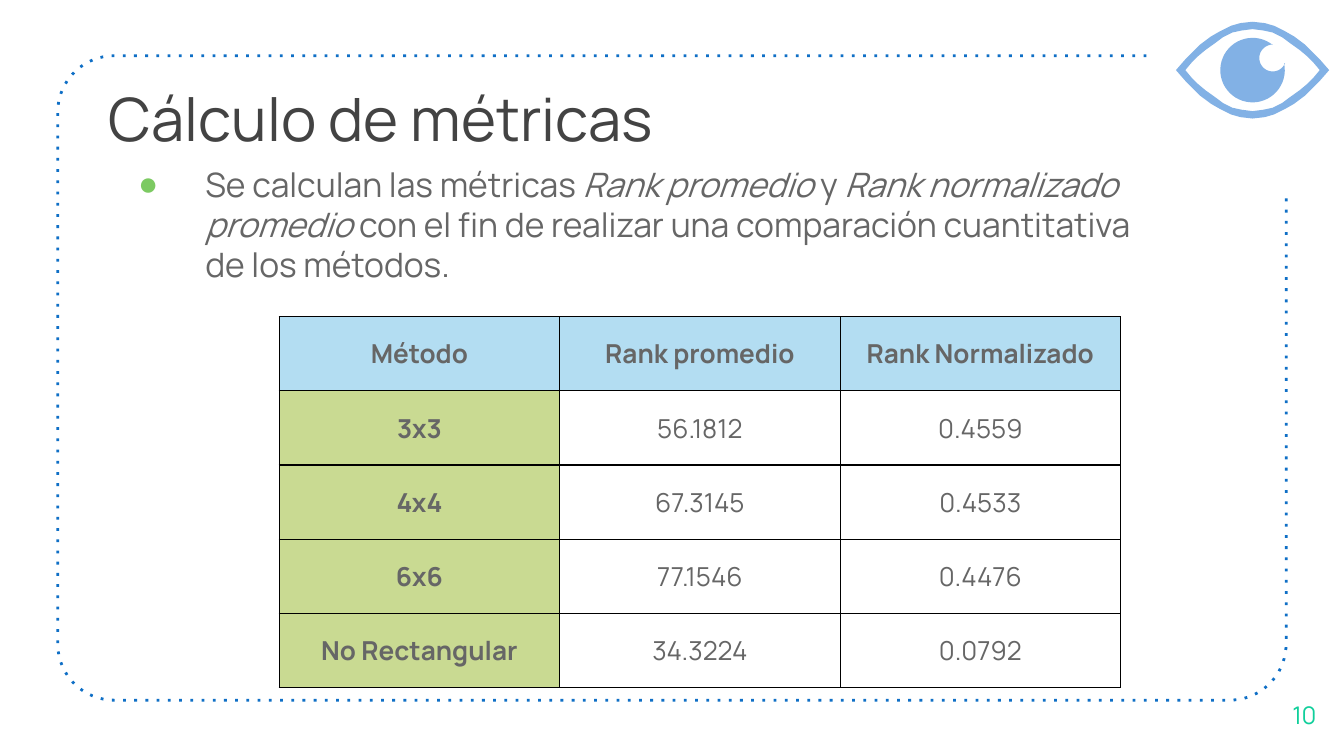
from dataclasses import dataclass
from math import cos, radians, sin

from lxml.etree import SubElement
from pptx import Presentation
from pptx.dml.color import RGBColor as RGB
from pptx.enum.text import MSO_ANCHOR as ANCHOR, MSO_AUTO_SIZE as AUTO, PP_ALIGN as ALIGN
from pptx.oxml.ns import qn
from pptx.util import Emu, Inches, Pt


@dataclass(frozen=True)
class Theme:
    font: str = "Manrope"
    bullet_font: str = "Arial"
    title: str = "434343"
    text: str = "666666"
    number: str = "10CF9B"
    bullet: str = "7CCA62"
    frame: str = "0F6FC6"
    icon: str = "82B1E5"
    border: str = "000000"
    header: str = "B3DDF2"
    method: str = "C9DA92"
    title_size: int = 32
    body_size: int = 18
    table_size: int = 14
    number_size: int = 13


WIDTH = Inches(10)
HEIGHT = Emu(WIDTH * 9 // 16)
COLUMNS = 100  # square grid cells, a hundredth of the slide's width


def grid(n):
    return Emu(round(n * WIDTH / COLUMNS))


def arc(cx, cy, radius, start, end, steps=24):
    """Points on a circle, angles in degrees, clockwise from the right."""
    angles = [radians(start + (end - start) * i / steps) for i in range(steps + 1)]
    return [(cx + radius * cos(a), cy + radius * sin(a)) for a in angles]


def lens(cx, cy, quarter):
    """Mirror a quarter outline, given from top to right corner, into a lens."""
    half = quarter + [(x, -y) for x, y in quarter[-2::-1]]
    offsets = half + [(-x, y) for x, y in half[-2:0:-1]]
    return [(cx + x, cy - y) for x, y in offsets]


def add_text(p, text, size, color, font, bold=False, italic=False):
    r = p.add_run()
    r.text = text
    r.font.name, r.font.size = font, Pt(size)
    r.font.color.rgb = RGB.from_string(color)
    r.font.bold, r.font.italic = bold, italic


class SlideBuilder:
    def __init__(self, prs, theme):
        self.theme = theme
        self.slide = prs.slides.add_slide(prs.slide_layouts[1])
        self.shapes = self.slide.shapes

    def place(self, sp, box, anchor=ANCHOR.TOP):
        sp.left, sp.top, sp.width, sp.height = map(grid, box)
        tf = sp.text_frame
        tf.word_wrap, tf.auto_size, tf.vertical_anchor = True, AUTO.NONE, anchor
        tf.margin_left = tf.margin_right = tf.margin_top = tf.margin_bottom = grid(1)
        return tf.paragraphs[0]

    def title(self, text, box):
        t = self.theme
        p = self.place(self.shapes.title, box)
        p.alignment = ALIGN.LEFT
        add_text(p, text, t.title_size, t.title, t.font)

    def bullet(self, runs, box, indent):
        t = self.theme
        p = self.place(self.slide.placeholders[1], box)
        pPr = p._p.get_or_add_pPr()
        pPr.set("marL", str(grid(indent)))
        pPr.set("indent", str(-grid(indent)))
        color = SubElement(pPr, qn("a:buClr"))
        SubElement(color, qn("a:srgbClr"), val=t.bullet)
        SubElement(pPr, qn("a:buFont"), typeface=t.bullet_font)
        SubElement(pPr, qn("a:buChar"), char="●")
        p.space_before = Pt(0)
        for text, italic in runs:
            add_text(p, text, t.body_size, t.text, t.font, italic=italic)

    def number(self, text, box):
        t = self.theme
        sp = self.shapes.add_textbox(*map(grid, box))
        p = self.place(sp, box, ANCHOR.MIDDLE)
        p.alignment = ALIGN.CENTER
        add_text(p, text, t.number_size, t.number, t.font)

    def outline(self, shapes, contours, closed=True):
        builder = None
        for contour in contours:
            start, *rest = [(grid(x), grid(y)) for x, y in contour]
            if builder is None:
                builder = shapes.build_freeform(*start)
            else:
                builder.move_to(*start)
            builder.add_line_segments(rest, close=closed)
        sp = builder.convert_to_shape()
        sp.shadow.inherit = False
        return sp

    def frame(self, left, top, right, bottom, radius, gap_x, gap_y):
        """Dotted rounded frame, left open at its top right corner."""
        x1, x2 = left + radius, right - radius
        y1, y2 = top + radius, bottom - radius
        points = [(gap_x, top), *arc(x1, y1, radius, 270, 180),
                  *arc(x1, y2, radius, 180, 90),
                  *arc(x2, y2, radius, 90, 0), (right, gap_y)]
        sp = self.outline(self.shapes, [points], closed=False)
        sp.fill.background()
        sp.line.color.rgb = RGB.from_string(self.theme.frame)
        sp.line.width = Pt(1.5)
        SubElement(sp.line._get_or_add_ln(), qn("a:prstDash"), val="dot")
        self.shapes._spTree.insert(2, sp._element)  # behind the text

    def eye(self, cx, cy):
        outer = [(0, 3.6), (0.9, 3.5), (1.6, 3.3), (2.4, 2.9), (3.1, 2.5),
                 (3.9, 1.9), (4.5, 1.3), (5, 0.8), (5.7, 0)]
        inner = [(0, 3.05), (0.8, 2.95), (1.5, 2.8), (2.2, 2.45), (2.8, 2),
                 (3.5, 1.5), (4.1, 1), (4.5, 0.6), (5, 0)]
        iris = arc(cx, cy, 2.4, -12, 309, 48)
        glint = arc(cx + 1.5, cy - 0.9, 1, -90, -336)
        group = self.shapes.add_group_shape().shapes
        for contours in ([lens(cx, cy, outer), lens(cx, cy, inner)], [iris + glint]):
            sp = self.outline(group, contours)
            sp.fill.solid()
            sp.fill.fore_color.rgb = RGB.from_string(self.theme.icon)
            sp.line.fill.background()

    def cell(self, cell, text, fill=None):
        t = self.theme
        tcPr = cell._tc.get_or_add_tcPr()
        for side in ("a:lnL", "a:lnR", "a:lnT", "a:lnB"):
            ln = SubElement(tcPr, qn(side), w=str(Pt(0.75)))
            SubElement(SubElement(ln, qn("a:solidFill")), qn("a:srgbClr"), val=t.border)
        if fill:
            cell.fill.solid()
            cell.fill.fore_color.rgb = RGB.from_string(fill)
        else:
            cell.fill.background()
        cell.vertical_anchor = ANCHOR.MIDDLE
        p = cell.text_frame.paragraphs[0]
        p.alignment = ALIGN.CENTER
        add_text(p, text, t.table_size, t.text, t.font, bold=bool(fill))

    def table(self, rows, box):
        t = self.theme
        table = self.shapes.add_table(len(rows), len(rows[0]), *map(grid, box)).table
        table.first_row = table.horz_banding = False
        for i, row in enumerate(rows):
            for j, text in enumerate(row):
                fill = t.header if i == 0 else t.method if j == 0 else None
                self.cell(table.cell(i, j), text, fill)


def main():
    prs = Presentation()
    prs.slide_width, prs.slide_height = WIDTH, HEIGHT
    s = SlideBuilder(prs, Theme())

    # Frame and icon
    s.frame(4.3, 4.15, 95.7, 52.1, radius=4.2, gap_x=85.3, gap_y=14.6)
    s.eye(93.2, 5.22)

    # Text
    s.title("Cálculo de métricas", (7.1, 5.1, 75.1, 9.4))
    s.bullet([("Se calculan las métricas ", False), ("Rank promedio ", True),
              ("y ", False), ("Rank normalizado promedio ", True),
              ("con el fin de realizar una comparación cuantitativa de los métodos.", False)],
             (9.27, 11.17, 78.7, 25.9), indent=5)
    s.number("10", (94.1, 50.2, 5.9, 6))

    # Results
    s.table([("Método", "Rank promedio", "Rank Normalizado"),
             ("3x3", "56.1812", "0.4559"),
             ("4x4", "67.3145", "0.4533"),
             ("6x6", "77.1546", "0.4476"),
             ("No Rectangular", "34.3224", "0.0792")],
            (20.78, 23.56, 62.6, 27.6))

    prs.save("out.pptx")


if __name__ == "__main__":
    main()
